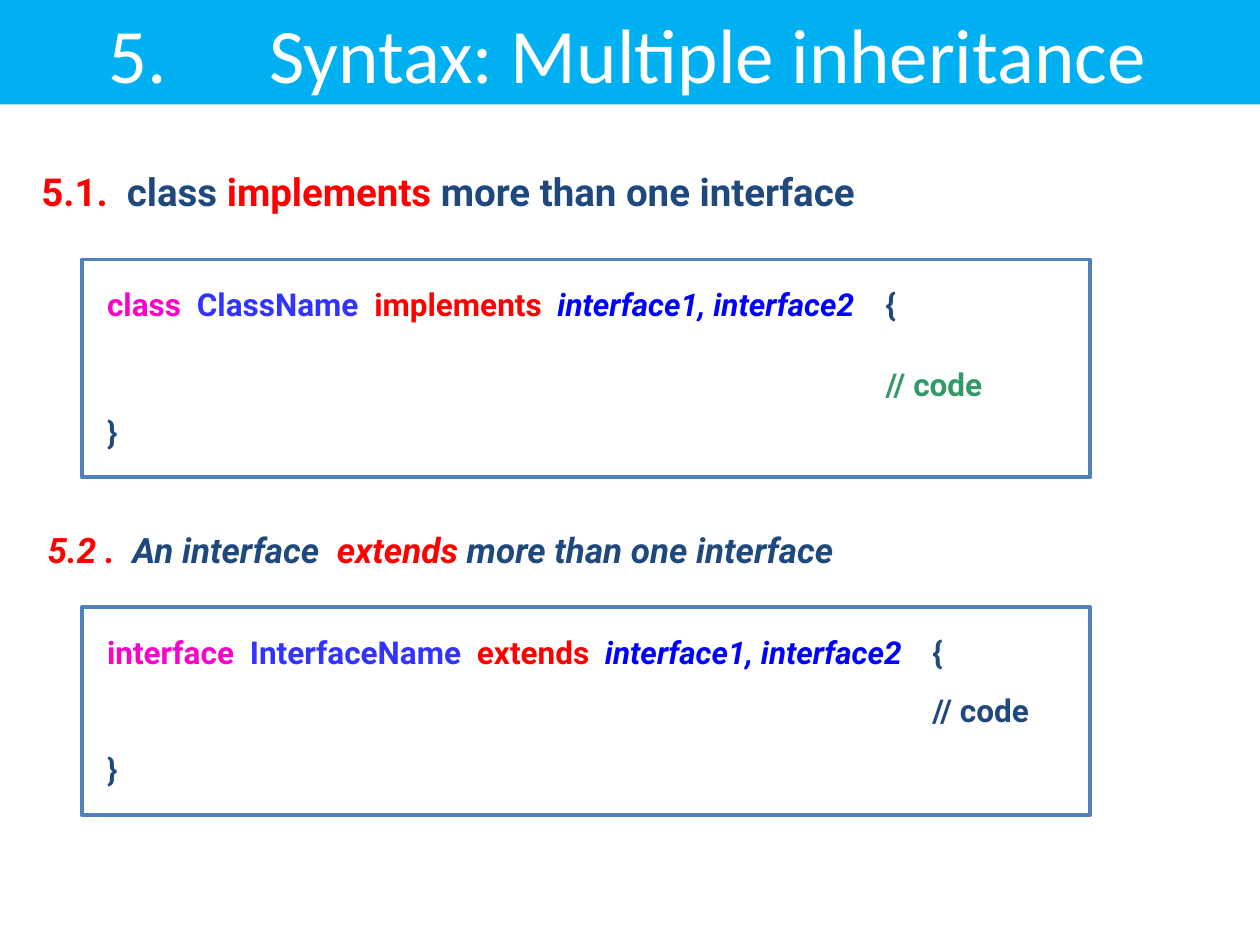
from pptx import Presentation
from pptx.dml.color import RGBColor
from pptx.enum import shapes, text
from pptx.oxml import parse_xml
from pptx.oxml.ns import nsdecls
from pptx.util import Inches, Pt

COLORS = {
    "banner": "00B0F0",
    "white": "FFFFFF",
    "border": "4F81BD",
    "red": "FF0000",
    "navy": "1F497D",
    "pink": "F703C9",
    "violet": "3333FF",
    "blue": "0000FF",
    "green": "339966",
}


def color(name):
    return RGBColor.from_string(COLORS[name])


def add_box(s, box, fill, line=None):
    sp = s.shapes.add_shape(shapes.MSO_SHAPE.RECTANGLE, *map(Inches, box))
    sp.shadow.inherit = False
    sp.fill.solid()
    sp.fill.fore_color.rgb = color(fill)
    if line:
        sp.line.color.rgb = color(line)
        sp.line.width = Pt(2.25)
    else:
        sp.line.fill.background()
    return sp


def set_tab(p, position):
    p._p.get_or_add_pPr().append(parse_xml(
        f'<a:tabLst {nsdecls("a")}>'
        f'<a:tab pos="{Inches(position)}" algn="l"/></a:tabLst>'))


def write(p, runs, size, font="Roboto", bold=True, before=0, after=0):
    p.alignment = text.PP_ALIGN.LEFT
    p.space_before, p.space_after = Pt(before), Pt(after)
    p.font.size, p.font.name, p.font.bold = Pt(size), font, bold
    for words, name, *italic in runs:
        r = p.add_run()
        r.text = words
        r.font.size, r.font.name, r.font.bold = Pt(size), font, bold
        r.font.color.rgb = color(name)
        r.font.italic = bool(italic)


def add_title(s, box, number, title):
    sp = add_box(s, box, "banner")
    tf = sp.text_frame
    tf.vertical_anchor = text.MSO_ANCHOR.MIDDLE
    tf.margin_left, tf.margin_right = Inches(0.86), Inches(0.1)
    p = tf.paragraphs[0]
    write(p, [(f"{number}\t{title}", "white")], 44, "Calibri", False)
    set_tab(p, 1.28)


def add_heading(s, box, runs, size):
    tf = s.shapes.add_textbox(*map(Inches, box)).text_frame
    tf.word_wrap = True
    p = tf.paragraphs[0]
    p.line_spacing = 0.9
    write(p, runs, size, before=18)


def add_code(s, box, words, brace_tab, comment_color, gaps):
    sp = add_box(s, box, "white", "border")
    tf = sp.text_frame
    tf.word_wrap = True
    tf.auto_size = text.MSO_AUTO_SIZE.SHAPE_TO_FIT_TEXT
    tf.vertical_anchor = text.MSO_ANCHOR.TOP
    tf.margin_left = tf.margin_right = Inches(0.2)
    tf.margin_top = tf.margin_bottom = Inches(0.2)
    kind, name, keyword = words
    p = tf.paragraphs[0]
    write(p, [
        (kind, "pink"),
        (f"  {name}  ", "violet"),
        (f"{keyword}  ", "red"),
        ("interface1, interface2", "blue", True),
        ("\t{", "navy"),
    ], 18, before=12)
    set_tab(p, brace_tab)
    comment_gap, end_gap = gaps
    write(tf.add_paragraph(), [("\t// code", comment_color)], 18,
          before=comment_gap, after=6)
    write(tf.add_paragraph(), [("}", "navy")], 18, before=end_gap)


def main():
    prs = Presentation()
    prs.slide_width, prs.slide_height = Inches(10), Inches(7.5)
    s = prs.slides.add_slide(prs.slide_layouts[6])
    add_title(s, (0, 0, 10, 0.83), "5.", "Syntax: Multiple inheritance")
    add_heading(s, (0.23, 1.33, 9.24, 1), [
        ("5.1.", "red"),
        ("  class ", "navy"),
        ("implements", "red"),
        (" more than one interface", "navy"),
    ], 22)
    add_code(s, (0.65, 2.06, 8, 1.73), ("class", "ClassName", "implements"),
             6.18, "green", (24, 0))
    add_heading(s, (0.28, 4.18, 9.24, 0.53), [
        ("5.2 .", "red", True),
        ("  An interface  ", "navy", True),
        ("extends", "red", True),
        (" more than one interface", "navy", True),
    ], 20)
    add_code(s, (0.65, 4.82, 8, 1.65),
             ("interface", "InterfaceName", "extends"),
             6.55, "navy", (12, 6))
    prs.save("out.pptx")


if __name__ == "__main__":
    main()
